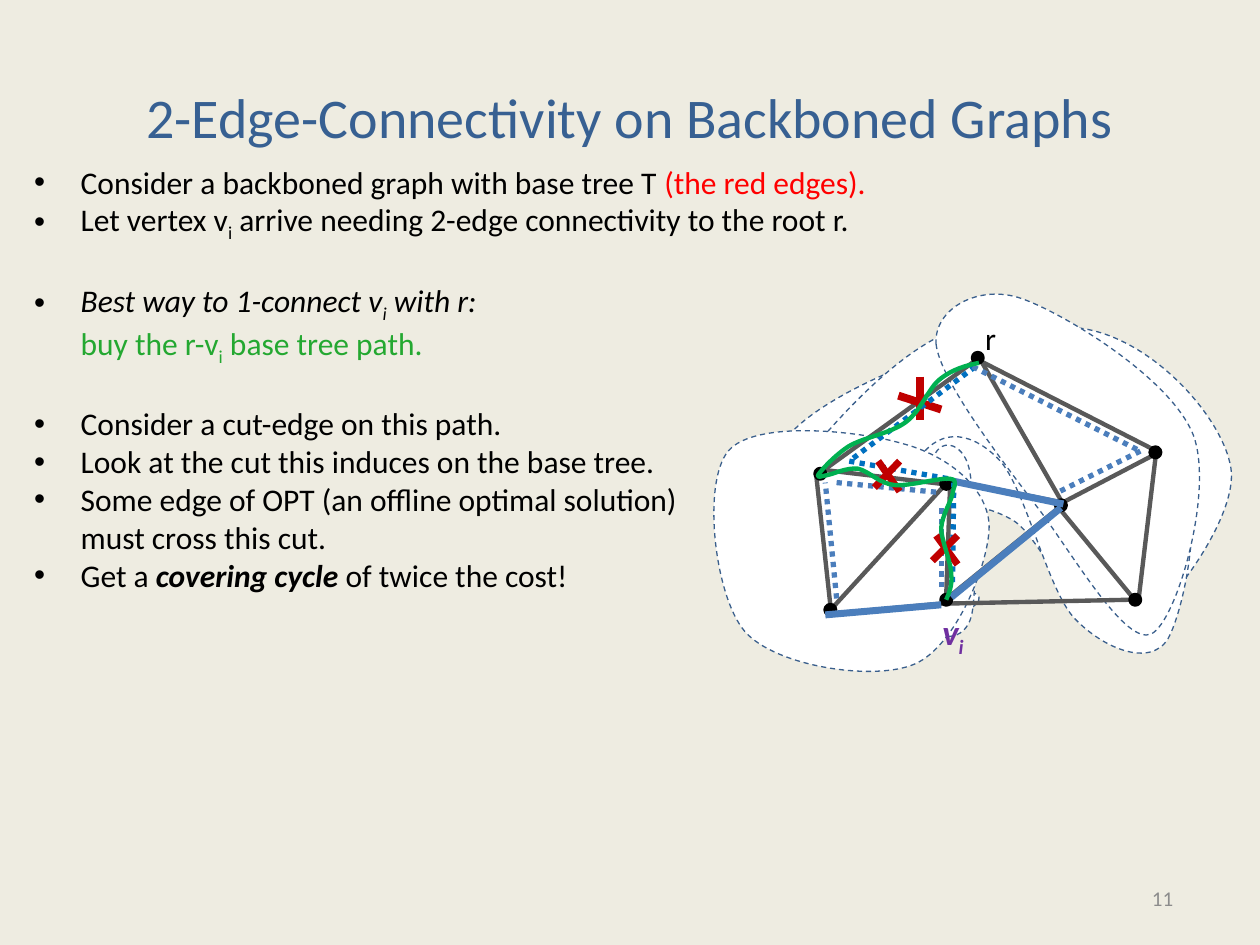
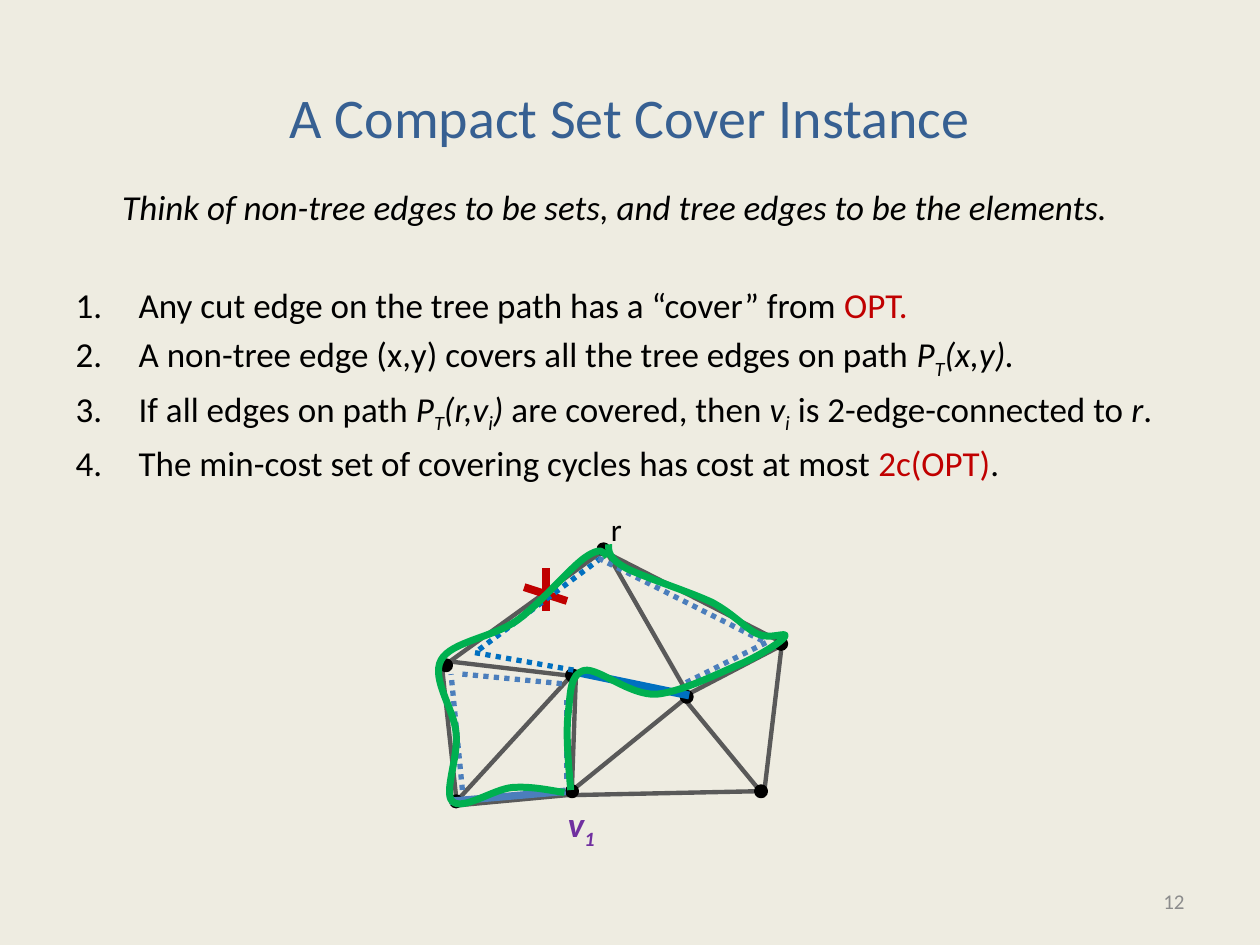
from lxml import etree
from pptx import Presentation
from pptx.dml.color import RGBColor
from pptx.enum.dml import MSO_LINE
from pptx.enum.shapes import MSO_CONNECTOR, MSO_SHAPE
from pptx.enum.text import MSO_ANCHOR, MSO_AUTO_SIZE, PP_ALIGN
from pptx.oxml.ns import qn
from pptx.util import Inches, Pt

STRAIGHT, ELLIPSE = MSO_CONNECTOR.STRAIGHT, MSO_SHAPE.OVAL
DASH, DOT = MSO_LINE.DASH, MSO_LINE.ROUND_DOT
MIDDLE, RIGHT = MSO_ANCHOR.MIDDLE, PP_ALIGN.RIGHT
NO_AUTOFIT, FIT_SHAPE = MSO_AUTO_SIZE.NONE, MSO_AUTO_SIZE.SHAPE_TO_FIT_TEXT

FONT = "Calibri"
CREAM = RGBColor(0xEE, 0xEC, 0xE1)
WHITE = RGBColor(0xFF, 0xFF, 0xFF)
BLACK = RGBColor(0, 0, 0)
TITLE_BLUE = RGBColor(0x37, 0x60, 0x92)
OUTLINE_BLUE = RGBColor(0x3A, 0x5F, 0x8C)
STEEL = RGBColor(0x4B, 0x7E, 0xBC)
BLUE = RGBColor(0x00, 0x70, 0xC0)
GREY = RGBColor(0x59, 0x59, 0x59)
PALE_GREY = RGBColor(0x8C, 0x8C, 0x8C)
RED = RGBColor(0xFF, 0, 0)
DARK_RED = RGBColor(0xC0, 0, 0)
TEXT_GREEN = RGBColor(0x24, 0xA8, 0x31)
GREEN = RGBColor(0x00, 0xB0, 0x50)
PURPLE = RGBColor(0x70, 0x30, 0xA0)

# The graph as it lies on the first slide, in inches
VERTICES = [(6.51, 3.76), (6.59, 4.84), (7.51, 3.84), (7.76, 2.84),
            (9.17, 3.59), (9.01, 4.76), (7.51, 4.76), (8.42, 4.01)]
EDGES = [
    (6.48, 3.79, 6.59, 4.8), (6.62, 4.87, 7.48, 4.79), (6.54, 3.73, 7.47, 3.84),
    (7.48, 3.87, 6.62, 4.81), (7.54, 3.87, 7.51, 4.72), (7.54, 3.81, 8.39, 3.98),
    (8.45, 3.98, 9.14, 3.62), (9.17, 3.64, 9.04, 4.73), (8.98, 4.73, 8.42, 4.05),
    (7.54, 4.79, 8.97, 4.76), (7.54, 4.73, 8.39, 4.04), (7.79, 2.87, 8.42, 3.97),
    (7.79, 2.87, 9.14, 3.56), (6.54, 3.73, 7.73, 2.87),
]
# Coordinates, colour, width, dash
MARKS = [
    (7.13, 3.14, 7.47, 3.25, DARK_RED, 4.5, None),
    (7.3, 2.99, 7.3, 3.33, DARK_RED, 4.5, None),
    (7.74, 2.91, 6.74, 3.66, BLUE, 3, DOT),
    (6.74, 3.66, 7.53, 3.8, BLUE, 3, DOT),
    (7.72, 2.91, 9.05, 3.58, STEEL, 3, DOT),
    (9.05, 3.58, 8.39, 3.91, STEEL, 3, DOT),
    (6.64, 4.75, 6.55, 3.83, STEEL, 3, DOT),
    (6.64, 3.83, 7.47, 3.91, STEEL, 3, DOT),
    (7.47, 4.66, 7.47, 4, STEEL, 3, DOT),
]
BACKBONE_MARKS = [
    (6.55, 4.88, 7.47, 4.8, STEEL, 4, None),
    (7.57, 3.82, 8.44, 4, STEEL, 4, None),
    (7.55, 4.74, 8.42, 4.03, STEEL, 4, None),
    (7.56, 4.62, 7.57, 3.83, BLUE, 3, DOT),
    (7.14, 3.9, 6.97, 3.66, DARK_RED, 4, None),
    (6.94, 3.87, 7.14, 3.66, DARK_RED, 4, None),
    (7.6, 4.48, 7.43, 4.25, DARK_RED, 4, None),
    (7.4, 4.45, 7.6, 4.25, DARK_RED, 4, None),
]
COVER_MARKS = [
    (6.54, 4.84, 7.46, 4.76, STEEL, 4.25, None),
    (7.57, 3.82, 8.44, 4, BLUE, 4.5, None),
]

# Curves: a start point, then three points for each Bézier segment
CUT_REGIONS = [
    [(7.45, 4.94), (7.53, 4.92), (7.8, 4.81), (7.77, 4.74), (7.74, 4.68), (7.34, 4.53),
     (7.27, 4.56), (7.19, 4.58), (7.28, 4.83), (7.31, 4.9), (7.34, 4.96), (7.37, 4.97),
     (7.45, 4.94)],
    [(6.85, 5.03), (6.99, 4.86), (7.13, 4.28), (7.33, 4.13), (7.52, 3.98), (7.78, 3.98),
     (8.04, 4.13), (8.3, 4.29), (8.6, 5.13), (8.89, 5.06), (9.18, 4.99), (9.83, 4.13),
     (9.77, 3.72), (9.71, 3.31), (9.11, 2.64), (8.52, 2.6), (7.93, 2.56), (6.58, 3.05),
     (6.24, 3.48), (5.89, 3.91), (6.35, 4.9), (6.46, 5.16), (6.56, 5.42), (6.7, 5.2),
     (6.85, 5.03)],
    [(7.38, 4.91), (7.43, 5.11), (7.66, 5.09), (7.71, 4.89), (7.76, 4.69), (7.74, 3.91),
     (7.69, 3.71), (7.64, 3.51), (7.45, 3.46), (7.4, 3.66), (7.35, 3.86), (7.33, 4.7),
     (7.38, 4.91)],
    [(6.34, 3.7), (6.61, 3.36), (7.26, 2.61), (7.76, 2.58), (8.26, 2.55), (9.09, 3.11),
     (9.34, 3.52), (9.59, 3.94), (9.4, 4.84), (9.27, 5.07), (9.13, 5.3), (8.76, 5.15),
     (8.53, 4.91), (8.31, 4.68), (8.14, 3.87), (7.93, 3.65), (7.73, 3.44), (7.48, 3.38),
     (7.3, 3.63), (7.13, 3.88), (7.09, 4.99), (6.89, 5.15), (6.69, 5.31), (6.21, 4.83),
     (6.12, 4.59), (6.02, 4.35), (6.07, 4.03), (6.34, 3.7)],
    [(5.78, 3.58), (5.99, 3.33), (6.82, 3.42), (7.16, 3.52), (7.51, 3.61), (7.83, 3.86),
     (7.85, 4.16), (7.86, 4.45), (7.59, 5.13), (7.26, 5.27), (6.94, 5.41), (6.15, 5.29),
     (5.91, 5.01), (5.67, 4.73), (5.57, 3.83), (5.78, 3.58)],
    [(7.43, 2.73), (7.46, 3.02), (7.97, 3.68), (8.26, 4.06), (8.54, 4.44), (8.94, 5.13),
     (9.14, 5.03), (9.34, 4.93), (9.64, 3.89), (9.47, 3.45), (9.29, 3), (8.45, 2.49),
     (8.11, 2.37), (7.77, 2.25), (7.41, 2.45), (7.43, 2.73)],
]
TREE_PATH = [
    (7.77, 2.88), (7.67, 2.9), (7.56, 2.93), (7.46, 3.01), (7.37, 3.08), (7.31, 3.26),
    (7.19, 3.35), (7.07, 3.44), (6.86, 3.47), (6.74, 3.54), (6.63, 3.61), (6.53, 3.72),
    (6.5, 3.76), (6.47, 3.8), (6.52, 3.78), (6.57, 3.77), (6.62, 3.76), (6.72, 3.71),
    (6.81, 3.72), (6.9, 3.74), (6.98, 3.84), (7.1, 3.85), (7.22, 3.86), (7.46, 3.79),
    (7.54, 3.8), (7.61, 3.81), (7.57, 3.85), (7.56, 3.92), (7.55, 3.98), (7.48, 4.08),
    (7.47, 4.19), (7.47, 4.29), (7.55, 4.46), (7.55, 4.56), (7.56, 4.65), (7.53, 4.71),
    (7.51, 4.76)]
COVER_RIGHT = [
    (4.53, 6.27), (4.51, 6.04), (4.49, 5.82), (4.51, 5.66), (4.53, 5.5), (4.52, 5.35),
    (4.64, 5.32), (4.75, 5.3), (5, 5.52), (5.21, 5.51), (5.42, 5.49), (5.73, 5.33),
    (5.9, 5.26), (6.07, 5.18), (6.22, 5.08), (6.23, 5.05), (6.25, 5.01), (6.11, 5.08),
    (6.01, 5.03), (5.92, 4.99), (5.82, 4.87), (5.65, 4.78), (5.48, 4.7), (5.11, 4.58),
    (4.97, 4.51), (4.83, 4.43), (4.83, 4.38), (4.83, 4.32)]
COVER_LEFT = [
    (4.48, 6.29), (4.35, 6.27), (4.22, 6.24), (4.07, 6.25), (3.92, 6.26), (3.67, 6.44),
    (3.59, 6.36), (3.52, 6.29), (3.64, 6.01), (3.62, 5.82), (3.61, 5.64), (3.42, 5.39),
    (3.5, 5.24), (3.58, 5.09), (3.92, 5.06), (4.11, 4.92), (4.3, 4.78), (4.53, 4.5),
    (4.65, 4.42), (4.77, 4.34), (4.79, 4.38), (4.82, 4.42)]

# Paragraphs: list mark, space before in points (None inherits), runs.
# Runs: text, style letters (b bold, i italic, s subscript), colour
BACKBONE_TEXT = [
    ("bullet", 0, [("Consider a backboned graph with base tree T ", "", BLACK),
                   ("(the red edges).", "", RED)]),
    ("bullet", 0, [("Let vertex v", "", BLACK), ("i", "s", BLACK),
                   (" arrive needing 2-edge connectivity to the root r.", "", BLACK)]),
    ("bullet", 21.5, [("Best way to 1-connect v", "i", BLACK), ("i", "is", BLACK),
                      (" with r:", "i", BLACK)]),
    ("none", 0, [("buy the r-v", "", TEXT_GREEN), ("i", "s", TEXT_GREEN),
                 (" base tree path.", "", TEXT_GREEN)]),
    ("bullet", 21.5, [("Consider a cut-edge on this path.", "", BLACK)]),
    ("bullet", 0, [("Look at the cut this induces on the base tree.", "", BLACK)]),
    ("bullet", 0, [("Some edge of OPT (an offline optimal solution)", "", BLACK)]),
    ("none", 0, [("must cross this cut.", "", BLACK)]),
    ("bullet", 0, [("Get a ", "", BLACK), ("covering cycle ", "bi", BLACK),
                   ("of twice the cost!", "", BLACK)]),
]
COVER_TEXT = [
    ("none", None, [("Think of non-tree edges to be sets, and tree edges to be "
                     "the elements.", "i", BLACK)]),
    ("number", 32, [("Any cut edge on the tree path has a “cover” from ", "", BLACK),
                    ("OPT.", "", DARK_RED)]),
    ("number", None, [("A non-tree edge (x,y) covers all the tree edges on path ", "", BLACK),
                      ("P", "i", BLACK), ("T", "is", BLACK), ("(x,y).", "i", BLACK)]),
    ("number", None, [("If all edges on path ", "", BLACK), ("P", "i", BLACK),
                      ("T", "is", BLACK), ("(r,v", "i", BLACK), ("i", "is", BLACK),
                      (")", "i", BLACK), (" are covered, then ", "", BLACK),
                      ("v", "i", BLACK), ("i", "is", BLACK),
                      (" is 2-edge-connected to ", "", BLACK), ("r", "i", BLACK),
                      (".", "", BLACK)]),
    ("number", None, [("The min-cost set of covering cycles has cost at most ", "", BLACK),
                      ("2c(OPT)", "", DARK_RED), (".", "", BLACK)]),
]

SLIDES = [
    dict(title="2-Edge-Connectivity on Backboned Graphs", number="11",
         number_at=(7.08, 6.93), body_at=(0.17, 1.24, 8.33, 4.95), size=18,
         text=BACKBONE_TEXT, shift=(0, 0), regions=CUT_REGIONS, index="i",
         label_width=0.38, marks=BACKBONE_MARKS, paths=[TREE_PATH], path_width=2.5),
    dict(title="A Compact Set Cover Instance", number="12",
         number_at=(7.17, 6.95), body_at=(0.5, 1.42, 9, 2.46), size=20,
         text=COVER_TEXT, shift=(-2.97, 1.52), regions=[], index="1",
         label_width=0.43, marks=COVER_MARKS, paths=[COVER_RIGHT, COVER_LEFT], path_width=4),
]
HANGING = {"bullet": 0.37, "none": 0.37, "number": 0.5}


def add_runs(p, runs, size):
    for text, style, color in runs:
        r = p.add_run()
        r.text = text
        r.font.name, r.font.size = FONT, Pt(size)
        r.font.color.rgb = color
        r.font.bold, r.font.italic = "b" in style, "i" in style
        if "s" in style:
            r.font._element.set("baseline", "-25000")


def add_curve(slide, points, color, width, closed):
    """Draw a Bézier outline; closed ones are white with a dashed edge."""
    corners = [(Inches(x), Inches(y)) for x, y in points]
    builder = slide.shapes.build_freeform(*corners[0], scale=1.0)
    builder.add_line_segments(corners[1:], close=closed)
    sp = builder.convert_to_shape()
    segments = list(sp._element.iter(qn("a:lnTo")))
    for i in range(0, len(segments), 3):
        curve = etree.Element(qn("a:cubicBezTo"))
        segments[i].addprevious(curve)
        for segment in segments[i:i + 3]:
            curve.append(segment[0])
            segment.getparent().remove(segment)
    sp.shadow.inherit = False
    sp.line.color.rgb, sp.line.width = color, Pt(width)
    if closed:
        sp.fill.solid()
        sp.fill.fore_color.rgb = WHITE
        sp.line.dash_style = DASH
    else:
        sp.fill.background()


prs = Presentation()
prs.slide_width, prs.slide_height = Inches(10), Inches(7.5)
background = prs.slide_master.background.fill
background.solid()
background.fore_color.rgb = CREAM

for content in SLIDES:
    slide = prs.slides.add_slide(prs.slide_layouts[1])
    dx, dy = content["shift"]

    title = slide.shapes.title
    title.left, title.top, title.width, title.height = map(Inches, (0.5, 0.3, 9, 1.25))
    add_runs(title.text_frame.paragraphs[0], [(content["title"], "", TITLE_BLUE)], 32)

    body = slide.placeholders[1]
    body.left, body.top, body.width, body.height = map(Inches, content["body_at"])
    tf = body.text_frame
    tf.auto_size = NO_AUTOFIT
    for i, (mark, space, runs) in enumerate(content["text"]):
        p = tf.add_paragraph() if i else tf.paragraphs[0]
        if space is not None:
            p.space_before = Pt(space)
        pPr = p._p.get_or_add_pPr()
        hanging = Inches(HANGING[mark])
        pPr.set("marL", str(hanging))
        pPr.set("indent", str(0 if mark == "none" else -hanging))
        if mark == "none":
            etree.SubElement(pPr, qn("a:buNone"))
        elif mark == "number":
            etree.SubElement(pPr, qn("a:buFont"), typeface="+mj-lt")
            etree.SubElement(pPr, qn("a:buAutoNum"), type="arabicPeriod")
        add_runs(p, runs, content["size"])

    left, top = content["number_at"]
    box = slide.shapes.add_textbox(Inches(left), Inches(top), Inches(2.33), Inches(0.4))
    box.text_frame.word_wrap = True
    box.text_frame.vertical_anchor = MIDDLE
    p = box.text_frame.paragraphs[0]
    p.alignment = RIGHT
    add_runs(p, [(content["number"], "", PALE_GREY)], 12)

    for region in content["regions"]:
        add_curve(slide, region, OUTLINE_BLUE, 0.75, True)

    edges = [(*edge, GREY, 2.5, None) for edge in EDGES]
    lines = edges + MARKS + content["marks"]
    for i, (x1, y1, x2, y2, color, width, dash) in enumerate(lines):
        if i == len(edges):
            for x, y in VERTICES:
                dot = slide.shapes.add_shape(
                    ELLIPSE, Inches(x + dx - 0.04), Inches(y + dy - 0.04),
                    Inches(0.08), Inches(0.08))
                dot.shadow.inherit = False
                dot.fill.solid()
                dot.fill.fore_color.rgb = dot.line.color.rgb = BLACK
                dot.line.width = Pt(2.25)
        line = slide.shapes.add_connector(
            STRAIGHT, Inches(x1 + dx), Inches(y1 + dy), Inches(x2 + dx), Inches(y2 + dy))
        line.line.color.rgb, line.line.width = color, Pt(width)
        if dash:
            line.line.dash_style = dash
        etree.SubElement(line._element.spPr, qn("a:effectLst"))

    labels = [(7.72, 2.48, 0.29, 18, [("r", "", BLACK)]),
              (7.38, 4.8, content["label_width"], 20,
               [("v", "bi", PURPLE), (content["index"], "bis", PURPLE)])]
    for x, y, width, size, runs in labels:
        box = slide.shapes.add_textbox(Inches(x + dx), Inches(y + dy), Inches(width), Inches(0.4))
        box.text_frame.word_wrap = False
        box.text_frame.auto_size = FIT_SHAPE
        add_runs(box.text_frame.paragraphs[0], runs, size)

    for path in content["paths"]:
        add_curve(slide, path, GREEN, content["path_width"], False)

prs.save("out.pptx")
